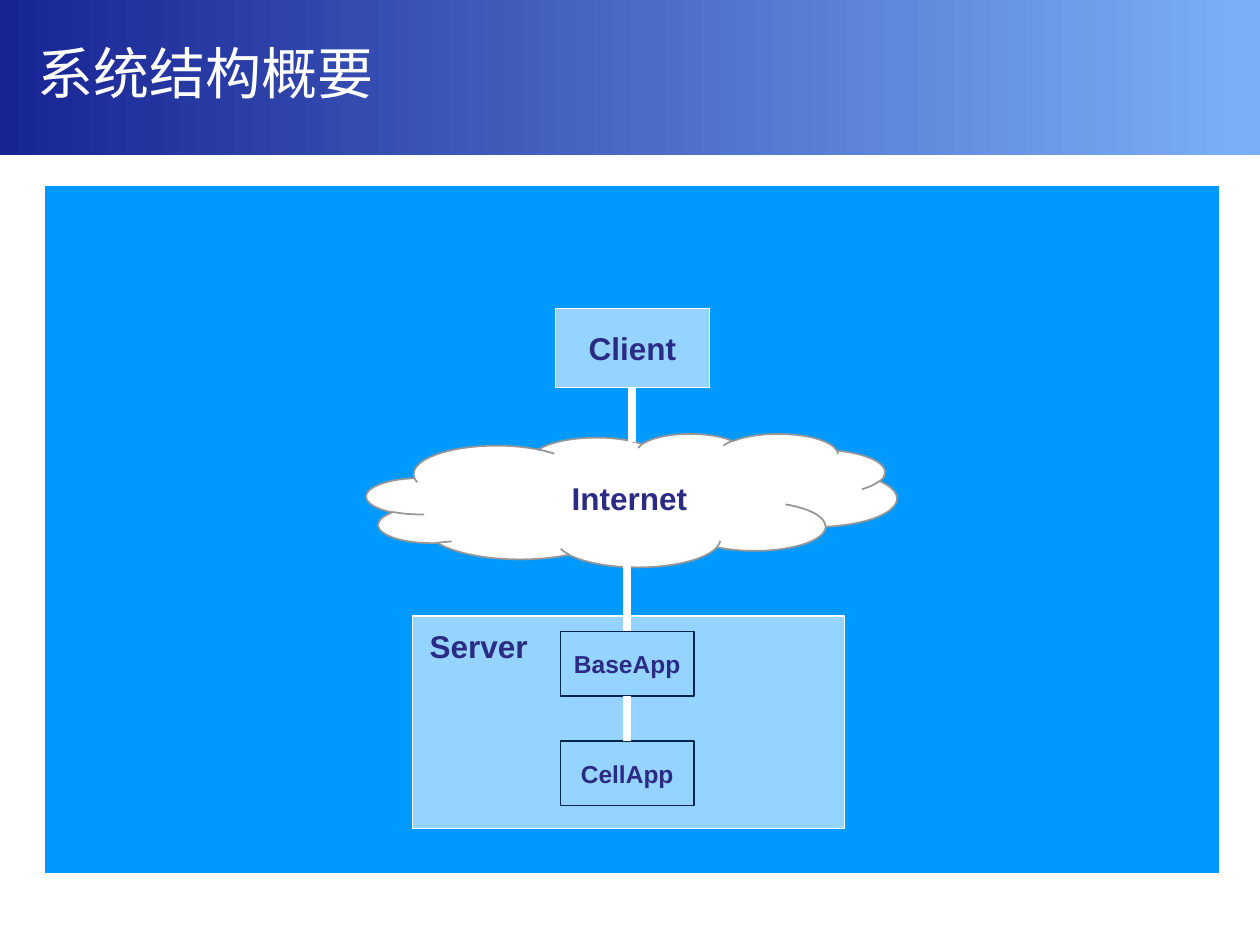
from pptx import Presentation
from pptx.dml.color import RGBColor
from pptx.enum.shapes import MSO_CONNECTOR, MSO_SHAPE
from pptx.enum.text import MSO_ANCHOR, PP_ALIGN
from pptx.oxml.ns import qn
from pptx.util import Cm, Pt
from lxml import etree

RECT, CLOUD = MSO_SHAPE.RECTANGLE, MSO_SHAPE.CLOUD
STRAIGHT = MSO_CONNECTOR.STRAIGHT
TOP, MIDDLE = MSO_ANCHOR.TOP, MSO_ANCHOR.MIDDLE
LEFT, CENTER = PP_ALIGN.LEFT, PP_ALIGN.CENTER
WHITE, SKY, INK, NAVY = "FFFFFF", "95D4FF", "2B2B85", "00254A"


def rgb(value):
    return RGBColor.from_string(value)


def write(sp, text, size, color=INK, font="Arial", bold=True, align=CENTER, anchor=MIDDLE):
    tf = sp.text_frame
    tf.word_wrap = True
    tf.vertical_anchor = anchor
    p = tf.paragraphs[0]
    p.text = text
    p.alignment = align
    p.font.size, p.font.name, p.font.bold = Pt(size), font, bold
    p.font.color.rgb = rgb(color)


prs = Presentation()
prs.slide_width, prs.slide_height = Cm(25.4), Cm(19.05)
s = prs.slides.add_slide(prs.slide_layouts[6])

# Header band and title
band = s.shapes.add_shape(RECT, 0, 0, prs.slide_width, Cm(3.12))
band.shadow.inherit = False
band.line.fill.background()
band.fill.gradient()
band.fill.gradient_angle = 0
for stop, color in zip(band.fill.gradient_stops, ("182494", "7CB0F6")):
    stop.color.rgb = rgb(color)
title = s.shapes.add_textbox(Cm(0.51), 0, Cm(24.31), Cm(2.92))
write(title, "系统结构概要", 32, WHITE, "DejaVu Sans", False, LEFT)

# Panel, boxes and cloud: name, preset, left, top, width, height, fill, line, line width
nodes = {}
for name, preset, x, y, w, h, fill, line, width in (
    ("panel", RECT, 0.89, 3.73, 23.7, 13.89, "0099FF", WHITE, 0.75),
    ("Client", RECT, 11.2, 6.22, 3.1, 1.6, SKY, WHITE, 0.75),
    ("Server", RECT, 8.31, 12.42, 8.71, 4.29, SKY, WHITE, 0.75),
    ("cloud", CLOUD, 7.39, 8.74, 10.69, 2.69, WHITE, "969696", 1),
    ("BaseApp", RECT, 11.3, 12.73, 2.69, 1.3, SKY, NAVY, 0.75),
    ("CellApp", RECT, 11.3, 14.94, 2.69, 1.3, SKY, NAVY, 0.75),
):
    sp = s.shapes.add_shape(preset, Cm(x), Cm(y), Cm(w), Cm(h))
    sp.shadow.inherit = False
    sp.fill.solid()
    sp.fill.fore_color.rgb = rgb(fill)
    sp.line.color.rgb = rgb(line)
    sp.line.width = Pt(width)
    nodes[name] = sp

# Labels
client, server, base, cell = (nodes[n] for n in ("Client", "Server", "BaseApp", "CellApp"))
write(client, "Client", 18)
write(server, "Server", 18, align=LEFT, anchor=TOP)
server.text_frame.margin_left, server.text_frame.margin_top = Cm(0.35), Cm(0.23)
write(base, "BaseApp", 14)
write(cell, "CellApp", 14)
internet = s.shapes.add_textbox(Cm(10.39), Cm(9.53), Cm(4.6), Cm(1.02))
write(internet, "Internet", 18)

# Links from client through the cloud to the server apps
for x, y1, y2, start, end in (
    (12.75, 7.82, 8.92, client, None),
    (12.65, 11.33, 12.73, None, base),
    (12.65, 14.03, 14.94, base, cell),
):
    link = s.shapes.add_connector(STRAIGHT, Cm(x), Cm(y1), Cm(x), Cm(y2))
    if start:
        link.begin_connect(start, 2)
        link.end_x = link.begin_x
    if end:
        link.end_connect(end, 0)
        link.begin_x = link.end_x
    link.line.color.rgb = rgb(WHITE)
    link.line.width = Pt(4.5)
    etree.SubElement(link._element.spPr, qn("a:effectLst"))

prs.save("out.pptx")
